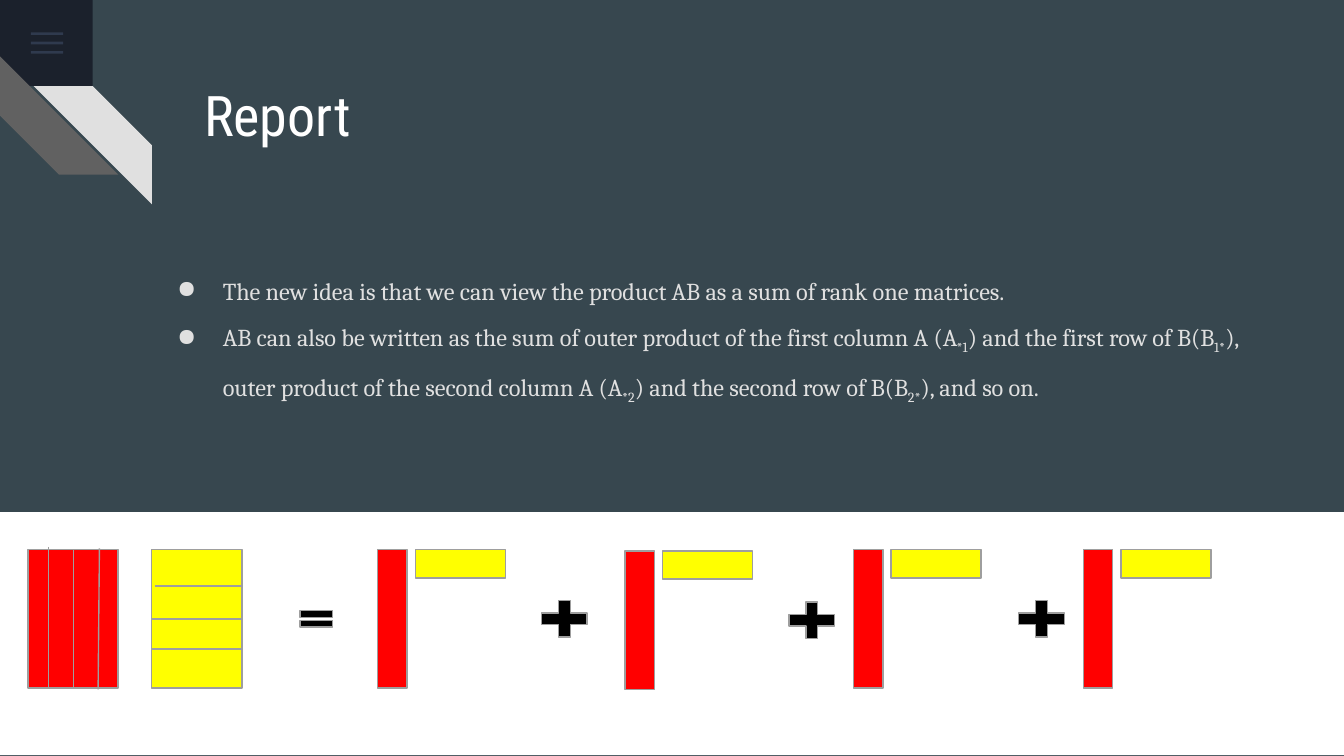
from lxml import etree
from pptx import Presentation
from pptx.dml.color import RGBColor
from pptx.enum.shapes import MSO_CONNECTOR as Link, MSO_SHAPE as Kind
from pptx.enum.text import MSO_ANCHOR as Anchor
from pptx.oxml.ns import qn
from pptx.util import Inches, Pt

SLATE = RGBColor(0x37, 0x47, 0x4F)
NAVY = RGBColor(0x1B, 0x21, 0x2C)
BLUE = RGBColor(0x55, 0x68, 0x8B)
DARK = RGBColor(0x61, 0x61, 0x61)
PALE = RGBColor(0xE0, 0xE0, 0xE0)
GRAY = RGBColor(0x9E, 0x9E, 0x9E)
WHITE = RGBColor(0xFF, 0xFF, 0xFF)
BLACK = RGBColor(0, 0, 0)
RED = RGBColor(0xFF, 0, 0)
YELLOW = RGBColor(0xFF, 0xFF, 0)

# Content: every second piece of a bullet is a subscript
TITLE = "Report"
BULLETS = [
    ["The new idea is that we can view the product AB as a sum of rank one matrices."],
    ["AB can also be written as the sum of outer product of the first column A (A", "*1",
     ") and the first row of B(B", "1*",
     "), outer product of the second column A (A", "*2",
     ") and the second row of B(B", "2*", "), and so on."],
]
TERMS = [(2.81, 4.09), (4.65, 4.1), (6.35, 4.09), (8.06, 4.09)]  # left, top
PLUSES = [(3.97, 4.42), (5.81, 4.43), (7.52, 4.42)]
COLS = [(0.36, 4.07, 0.36, 5.13), (0.73, 5.13, 0.74, 4.08)]
ROWS = [(1.15, 4.36, 1.81, 4.36), (1.13, 4.83, 1.81, 4.83)]
TOP, WIDE, TALL = 4.09, 0.67, 1.03  # matrix size
THIN, LOW = 0.22, 0.21              # one column, one row

# Slide, 16 by 9
prs = Presentation()
prs.slide_width, prs.slide_height = Inches(10), Inches(10 * 9 / 16)
slide = prs.slides.add_slide(prs.slide_layouts[6])
slide.background.fill.solid()
slide.background.fill.fore_color.rgb = SLATE
shapes = slide.shapes


def add(kind, x, y, w, h, fill, line=None, adj=()):
    shape = shapes.add_shape(kind, Inches(x), Inches(y), Inches(w), Inches(h))
    shape.shadow.inherit = False
    shape.fill.solid()
    shape.fill.fore_color.rgb = fill
    if line is None:
        shape.line.fill.background()
    else:
        shape.line.color.rgb = line
        shape.line.width = Pt(0.75)
    for i, value in enumerate(adj):
        shape.adjustments[i] = value
    return shape


def rule(x1, y1, x2, y2):
    line = shapes.add_connector(Link.STRAIGHT, *map(Inches, (x1, y1, x2, y2)))
    line.line.color.rgb = GRAY
    line.line.width = Pt(0.75)
    etree.SubElement(line._element.spPr, qn("a:effectLst"))
    return line


def split(box, start, end):
    line = rule(0, 0, 1, 1)
    line.begin_connect(box, start)
    line.end_connect(box, end)


def text_box(x, y, w, h):
    frame = shapes.add_textbox(Inches(x), Inches(y), Inches(w), Inches(h)).text_frame
    frame.word_wrap = True
    frame.vertical_anchor = Anchor.TOP
    frame.margin_left = frame.margin_right = Inches(0.1)
    frame.margin_top = frame.margin_bottom = Inches(0.1)
    return frame


def style(run, font, size, color):
    run.font.name, run.font.size = font, Pt(size)
    run.font.color.rgb = color


def bullet(para):
    props = para._p.get_or_add_pPr()
    props.set("marL", str(Inches(0.5)))
    props.set("indent", str(Inches(-0.34)))
    color = etree.SubElement(props, qn("a:buClr"))
    etree.SubElement(color, qn("a:srgbClr"), val=str(PALE))
    etree.SubElement(props, qn("a:buSzPts"), val="1300")
    etree.SubElement(props, qn("a:buChar"), char="●")


# White band, menu corner and stripes
add(Kind.RECTANGLE, 0, 3.81, 10, 1.81, WHITE)
add(Kind.RECTANGLE, 0, 0, 0.69, 0.64, NAVY)
for i in range(3):
    bar = add(Kind.RECTANGLE, 0.23, 0.24 + 0.07 * i, 0.24, 0.02, BLUE)
    tint = bar._element.spPr.find(qn("a:solidFill"))[0]
    etree.SubElement(tint, qn("a:alpha"), val="36000")
stripe = add(Kind.DIAGONAL_STRIPE, 0, 0.42, 0.88, 0.88, DARK, adj=[0.5])
stripe.rotation = 270
stripe = add(Kind.DIAGONAL_STRIPE, 0.25, 0.64, 0.88, 0.88, PALE, adj=[0.5])
stripe._element.spPr.find(qn("a:xfrm")).set("flipH", "1")

# Title and bullets
frame = text_box(1.42, 0.5, 3.29, 0.56)
frame.text = TITLE
style(frame.paragraphs[0].runs[0], "Roboto Condensed", 30, WHITE)

frame = text_box(1.06, 1.85, 8.57, 1.61)
for i, parts in enumerate(BULLETS):
    para = frame.add_paragraph() if i else frame.paragraphs[0]
    para.line_spacing = 1.5
    bullet(para)
    for j, part in enumerate(parts):
        run = para.add_run()
        run.text = part
        style(run, "Cambria", 13, PALE)
        if j % 2:
            run.font._element.set("baseline", "-25000")

# Matrix A in columns, matrix B in rows
left = add(Kind.RECTANGLE, 0.21, TOP, WIDE, TALL, RED, GRAY)
split(left, 0, 2)
for ends in COLS:
    rule(*ends)
right = add(Kind.RECTANGLE, 1.13, TOP, WIDE, TALL, YELLOW, GRAY)
split(right, 1, 3)
for ends in ROWS:
    rule(*ends)

# Sum of column-by-row products
add(Kind.MATH_EQUAL, 2.19, 4.5, 0.33, 0.21, BLACK, GRAY, [0.235, 0.118])
for x, y in TERMS:
    add(Kind.RECTANGLE, x, y, THIN, TALL, RED, GRAY)
    add(Kind.RECTANGLE, x + 0.28, y, WIDE, LOW, YELLOW, GRAY)
for x, y in PLUSES:
    add(Kind.MATH_PLUS, x, y, 0.46, 0.37, BLACK, GRAY, [0.235])

prs.save("out.pptx")
